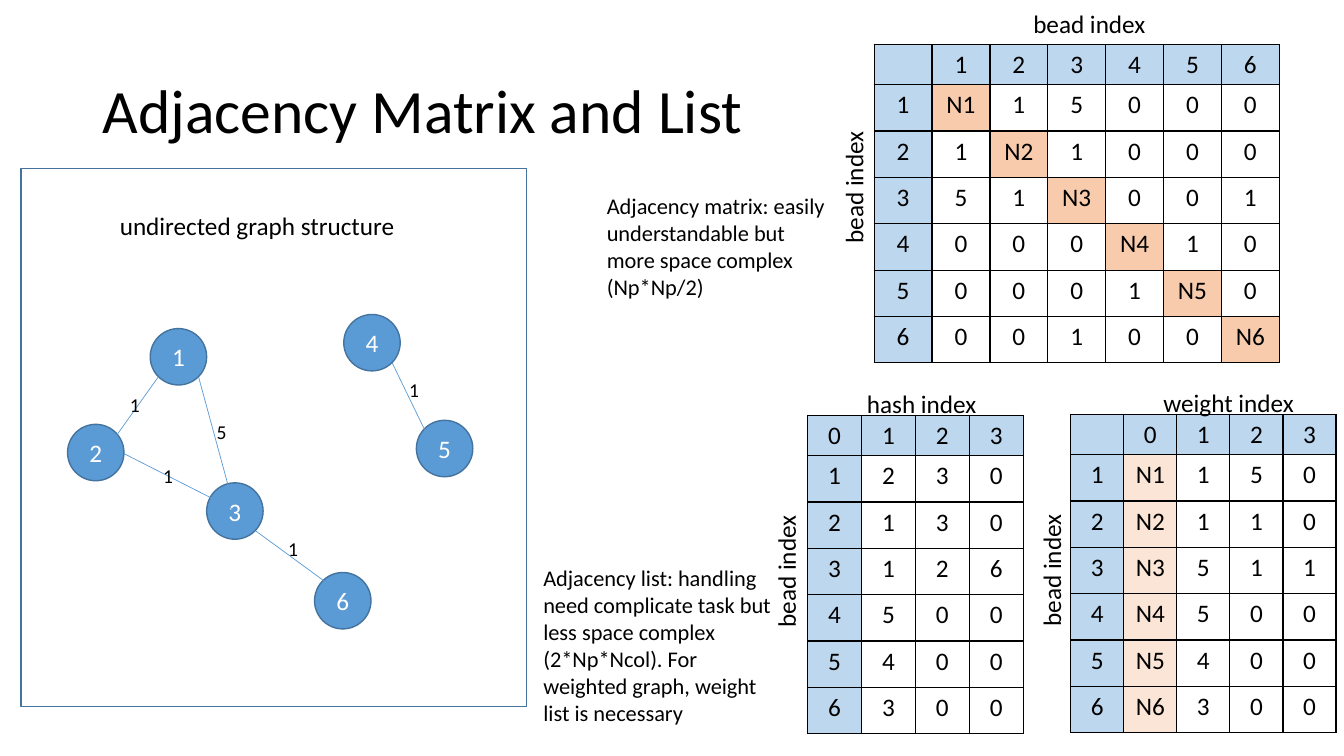
from pptx import Presentation
from pptx.dml.color import RGBColor
from pptx.enum.shapes import MSO_CONNECTOR, MSO_SHAPE
from pptx.enum.text import MSO_ANCHOR, PP_ALIGN
from pptx.oxml import parse_xml
from pptx.oxml.ns import nsdecls
from pptx.util import Inches, Pt

STRAIGHT = MSO_CONNECTOR.STRAIGHT
RECTANGLE, OVAL = MSO_SHAPE.RECTANGLE, MSO_SHAPE.OVAL
TOP, MIDDLE = MSO_ANCHOR.TOP, MSO_ANCHOR.MIDDLE
LEFT, CENTER = PP_ALIGN.LEFT, PP_ALIGN.CENTER

TITLE = ("Adjacency Matrix and List", (0.92, 0.4, 11.5, 1.45))
FRAME = (0.21, 1.67, 5.01, 5.34)
NODES = {
    "1": (1.49, 3.26), "2": (0.67, 4.21), "3": (2.05, 4.79),
    "4": (3.41, 3.12), "5": (4.13, 4.17), "6": (3.12, 5.68),
}
EDGES = [
    ("1", (3.89, 3.6), (4.21, 4.26), (3.96, 3.7)),
    ("1", (1.57, 3.74), (1.02, 4.51), (1.19, 3.85)),
    ("1", (1.23, 4.5), (2.33, 5.06), (1.52, 4.55)),
    ("5", (1.97, 3.74), (2.31, 4.99), (2.05, 4.12)),
    ("1", (2.54, 5.27), (3.21, 5.76), (2.76, 5.28)),
]
MATRIX = [
    ["", "1", "2", "3", "4", "5", "6"],
    ["1", "N1", "1", "5", "0", "0", "0"],
    ["2", "1", "N2", "1", "0", "0", "0"],
    ["3", "5", "1", "N3", "0", "0", "1"],
    ["4", "0", "0", "0", "N4", "1", "0"],
    ["5", "0", "0", "0", "1", "N5", "0"],
    ["6", "0", "0", "1", "0", "0", "N6"],
]
HASH_LIST = [
    ["0", "1", "2", "3"],
    ["1", "2", "3", "0"],
    ["2", "1", "3", "0"],
    ["3", "1", "2", "6"],
    ["4", "5", "0", "0"],
    ["5", "4", "0", "0"],
    ["6", "3", "0", "0"],
]
WEIGHT_LIST = [
    ["", "0", "1", "2", "3"],
    ["1", "N1", "1", "5", "0"],
    ["2", "N2", "1", "1", "0"],
    ["3", "N3", "5", "1", "1"],
    ["4", "N4", "5", "0", "0"],
    ["5", "N5", "4", "0", "0"],
    ["6", "N6", "3", "0", "0"],
]
TABLES = [
    (MATRIX, (8.67, 0.44), 4.02, "diagonal"),
    (HASH_LIST, (8.01, 4.12), 2.14, "weight_node"),
    (WEIGHT_LIST, (10.62, 4.11), 2.63, "weight_node"),
]
LABELS = [
    ("undirected graph structure", (1.09, 2.04, 2.96, 0.4), 0),
    ("bead index", (10.15, 0.03, 1.33, 0.4), 0),
    ("bead index", (7.8, 1.65, 1.33, 0.4), 270),
    ("hash index", (8.5, 3.8, 1.33, 0.4), 0),
    ("bead index", (7.13, 5.46, 1.33, 0.4), 270),
    ("weight index", (11.44, 3.79, 1.55, 0.4), 0),
    ("bead index", (9.76, 5.45, 1.33, 0.4), 270),
]
NOTES = [
    ("Adjacency matrix: easily understandable but more space complex (Np*Np/2)",
     (5.92, 1.86, 2.46, 1.18)),
    ("Adjacency list: handling need complicate task but less space complex "
     "(2*Np*Ncol). For weighted graph, weight list is necessary",
     (5.29, 5.55, 2.46, 1.72)),
]

NODE_SIZE = 0.56
WEIGHT_SIZE = (0.3, 0.34)
HEADER_HEIGHT, ROW_HEIGHT = 0.38, 0.46


class Theme:
    font = "Calibri"
    title, body, note, weight = 44, 18, 16, 14
    color = {
        "text": "000000", "node": "5B9BD5", "node_text": "FFFFFF",
        "outline": "43739E", "header": "BDD7EE",
        "diagonal": "F8CBAD", "weight_node": "FBE5D6",
    }


def rgb(role):
    return RGBColor.from_string(Theme.color[role])


def write(frame, text, size, role="text", align=LEFT):
    paragraph = frame.paragraphs[0]
    paragraph.alignment = align
    run = paragraph.add_run()
    run.text = text
    run.font.name = Theme.font
    run.font.size = Pt(size)
    run.font.color.rgb = rgb(role)
    return paragraph


def add_text(slide, text, box, size, wrap=False, anchor=TOP, rotation=0):
    holder = slide.shapes.add_textbox(*map(Inches, box))
    holder.rotation = rotation
    holder.text_frame.word_wrap = wrap
    holder.text_frame.vertical_anchor = anchor
    return write(holder.text_frame, text, size)


def add_outlined(slide, preset, box):
    shape = slide.shapes.add_shape(preset, *map(Inches, box))
    shape.shadow.inherit = False
    shape.line.color.rgb = rgb("outline")
    shape.line.width = Pt(1)
    shape.fill.background()
    return shape


def add_node(slide, name, corner):
    node = add_outlined(slide, OVAL, (*corner, NODE_SIZE, NODE_SIZE))
    node.fill.solid()
    node.fill.fore_color.rgb = rgb("node")
    node.text_frame.vertical_anchor = MIDDLE
    write(node.text_frame, name, Theme.body, "node_text", CENTER)


def add_edge(slide, start, end):
    edge = slide.shapes.add_connector(STRAIGHT, *map(Inches, start + end))
    edge.line.color.rgb = rgb("node")
    edge.line.width = Pt(0.5)
    edge._element.spPr.append(parse_xml(f"<a:effectLst {nsdecls('a')}/>"))


def style_cell(cell, fill_role):
    properties = cell._tc.get_or_add_tcPr()
    for side in ("lnL", "lnR", "lnT", "lnB"):
        properties.append(parse_xml(
            f'<a:{side} {nsdecls("a")} w="12700"><a:solidFill>'
            f'<a:srgbClr val="{Theme.color["text"]}"/></a:solidFill></a:{side}>'))
    if fill_role:
        cell.fill.solid()
        cell.fill.fore_color.rgb = rgb(fill_role)
    else:
        cell.fill.background()


def add_grid(slide, rows, corner, width, node_role):
    height = HEADER_HEIGHT + ROW_HEIGHT * (len(rows) - 1)
    grid = slide.shapes.add_table(
        len(rows), len(rows[0]), *map(Inches, (*corner, width, height))).table
    grid.first_row = grid.horz_banding = False
    for column in grid.columns:
        column.width = Inches(width / len(rows[0]))
    for r, values in enumerate(rows):
        grid.rows[r].height = Inches(ROW_HEIGHT if r else HEADER_HEIGHT)
        for c, value in enumerate(values):
            cell = grid.cell(r, c)
            is_header = r == 0 or c == 0
            is_node = value.startswith("N")
            style_cell(cell, "header" if is_header else node_role if is_node else None)
            if value:
                write(cell.text_frame, value, Theme.body, align=CENTER)


def main():
    deck = Presentation()
    deck.slide_width, deck.slide_height = Inches(13.33), Inches(7.5)
    slide = deck.slides.add_slide(deck.slide_layouts[6])

    title = add_text(slide, *TITLE, Theme.title, wrap=True, anchor=MIDDLE)
    title.line_spacing = 0.9
    add_outlined(slide, RECTANGLE, FRAME)
    for name, corner in NODES.items():
        add_node(slide, name, corner)
    for _, start, end, _ in EDGES:
        add_edge(slide, start, end)
    for weight, _, _, corner in EDGES:
        add_text(slide, weight, corner + WEIGHT_SIZE, Theme.weight)
    for table in TABLES:
        add_grid(slide, *table)
    for text, box, rotation in LABELS:
        add_text(slide, text, box, Theme.body, rotation=rotation)
    for text, box in NOTES:
        add_text(slide, text, box, Theme.note, wrap=True)

    deck.save("out.pptx")


if __name__ == "__main__":
    main()
